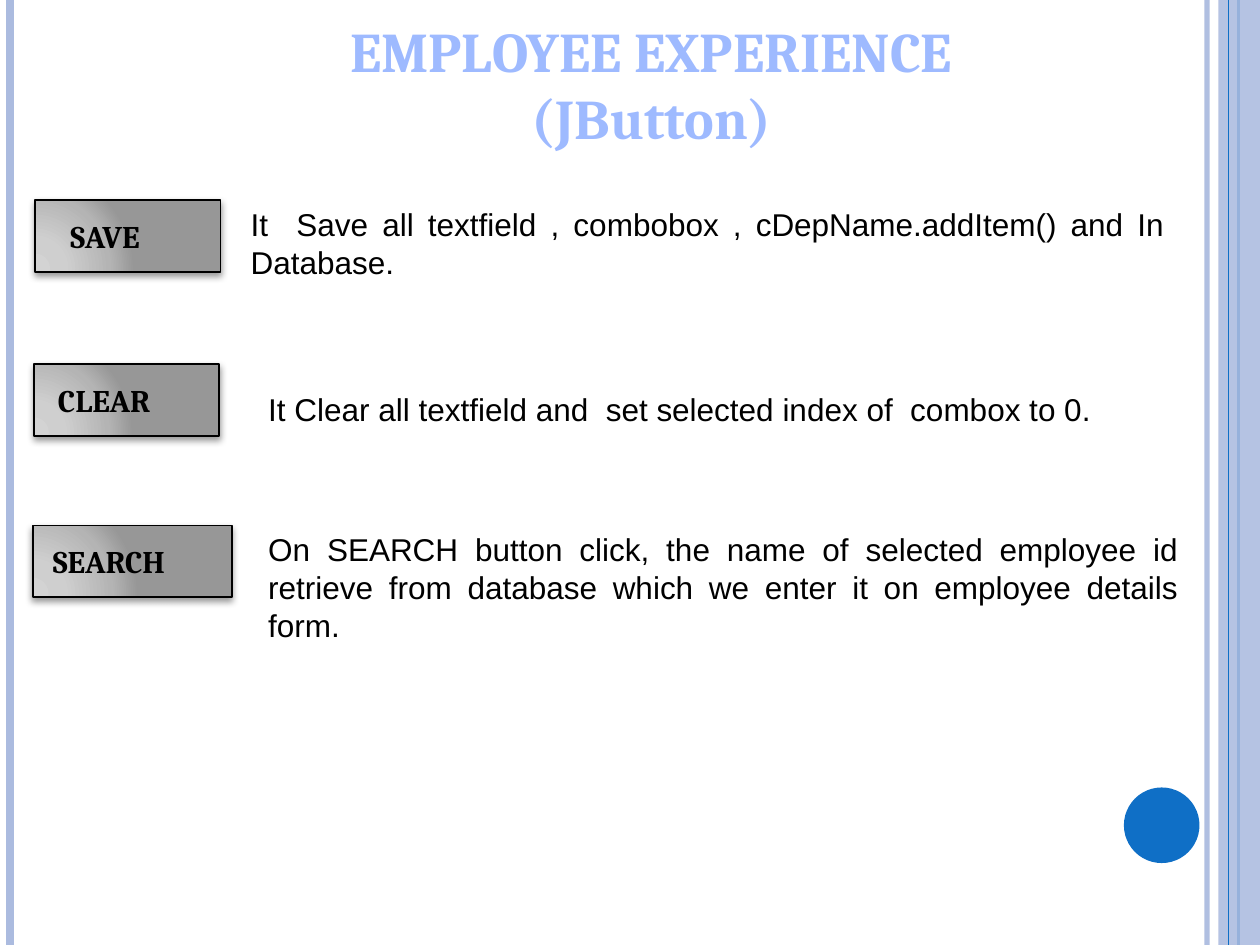
from lxml.etree import SubElement
from pptx import Presentation
from pptx.dml.color import RGBColor
from pptx.enum.shapes import MSO_CONNECTOR, MSO_SHAPE
from pptx.enum.text import MSO_ANCHOR, MSO_AUTO_SIZE, PP_ALIGN
from pptx.oxml import parse_xml
from pptx.oxml.ns import nsdecls, qn
from pptx.util import Inches, Pt

WIDTH, HEIGHT = 10, 7.5
LAVENDER = RGBColor(0xAB, 0xBB, 0xDF)
BLUE = RGBColor(0x0F, 0x6F, 0xC6)
TITLE_BLUE = RGBColor(0x9E, 0xBA, 0xFF)
BLACK = RGBColor(0, 0, 0)

TITLE_LINES = ["EMPLOYEE EXPERIENCE", "(JButton)"]
BUTTON_HEIGHT = 0.57
BUTTONS = [
    ("SAVE", (0.28, 1.59, 1.47), 0.28,
     "It  Save all textfield , combobox , cDepName.addItem() and In Database.",
     (1.89, 1.58, 7.45, 0.71)),
    ("CLEAR", (0.27, 2.89, 1.47), 0.19,
     "It Clear all textfield and  set selected index of  combox to 0.",
     (2.03, 3.05, 7.28, 0.4)),
    ("SEARCH", (0.26, 4.17, 1.58), 0.16,
     "On SEARCH button click, the name of selected employee id retrieve from "
     "database which we enter it on employee details form.",
     (2.03, 4.16, 7.42, 1.01)),
]
LEFT_RAILS = [(9.58, LAVENDER, 3, 93), (0.08, LAVENDER, 4.5, 100), (9.83, BLUE, 1.5, 100)]
BAND_RAIL = (9.75, BLUE, 0.75, 100)
BAND_LEFT, BAND_OPACITY = 9.67, 87
BUTTON_STOPS = [(0, "D3D3D3"), (30, "CFCFCF"), (75, "B4B4B4"), (100, "979797")]


def set_opacity(element, percent):
    if percent < 100:
        color = next(element.iter(qn("a:srgbClr")))
        SubElement(color, qn("a:alpha"), val=str(percent * 1000))


def add_rail(slide, x, color, weight, opacity):
    rail = slide.shapes.add_connector(
        MSO_CONNECTOR.STRAIGHT, Inches(x), 0, Inches(x), Inches(HEIGHT))
    rail.line.color.rgb = color
    rail.line.width = Pt(weight)
    properties = rail._element.spPr
    set_opacity(properties, opacity)
    SubElement(properties, qn("a:effectLst"))


def add_filled(slide, preset, box, color):
    shape = slide.shapes.add_shape(preset, *map(Inches, box))
    shape.shadow.inherit = False
    shape.fill.solid()
    shape.fill.fore_color.rgb = color
    shape.line.fill.background()
    return shape


def style_text(paragraph, font_name, size, color, bold, alignment):
    paragraph.alignment = alignment
    font = paragraph.font
    font.name, font.size, font.bold = font_name, Pt(size), bold
    font.color.rgb = color


def add_button(slide, label, place, indent):
    button = add_filled(slide, MSO_SHAPE.RECTANGLE, (*place, BUTTON_HEIGHT), LAVENDER)
    button.line.color.rgb = BLACK
    button.line.width = Pt(1)
    properties = button._element.spPr
    stops = "".join(f'<a:gs pos="{position * 1000}"><a:srgbClr val="{shade}"/></a:gs>'
                    for position, shade in BUTTON_STOPS)
    gradient = parse_xml(
        f'<a:gradFill {nsdecls("a")} rotWithShape="1"><a:gsLst>{stops}</a:gsLst>'
        '<a:path path="circle"><a:fillToRect l="5000" t="100000" r="120000" b="10000"/>'
        '</a:path></a:gradFill>')
    properties.replace(properties.find(qn("a:solidFill")), gradient)
    shadow = SubElement(
        properties.find(qn("a:effectLst")), qn("a:outerShdw"), blurRad=str(Pt(4)),
        dist=str(Pt(2)), dir="5400000", rotWithShape="0")
    SubElement(shadow, qn("a:srgbClr"), val="000000")
    set_opacity(shadow, 40)
    frame = button.text_frame
    frame.margin_left, frame.margin_right = Inches(indent), 0
    frame.vertical_anchor = MSO_ANCHOR.MIDDLE
    frame.text = label
    style_text(frame.paragraphs[0], "Cambria", 18, BLACK, True, PP_ALIGN.LEFT)


def add_description(slide, text, box):
    frame = slide.shapes.add_textbox(*map(Inches, box)).text_frame
    frame.word_wrap = True
    frame.text = text
    style_text(frame.paragraphs[0], "Arial", 18, BLACK, False, PP_ALIGN.JUSTIFY)


def add_title(slide):
    title = slide.shapes.title
    title.left, title.top, title.width, title.height = map(Inches, (1.67, 0.08, 7, 1.18))
    frame = title.text_frame
    frame.auto_size = MSO_AUTO_SIZE.NONE
    frame.vertical_anchor = MSO_ANCHOR.TOP
    frame.text = "\n".join(TITLE_LINES)
    for paragraph in frame.paragraphs:
        paragraph.space_before = Pt(0)
        style_text(paragraph, "Cambria", 32, TITLE_BLUE, True, PP_ALIGN.CENTER)


def main():
    deck = Presentation()
    deck.slide_width, deck.slide_height = Inches(WIDTH), Inches(HEIGHT)
    slide = deck.slides.add_slide(deck.slide_layouts[5])
    for rail in LEFT_RAILS:
        add_rail(slide, *rail)
    band = add_filled(slide, MSO_SHAPE.RECTANGLE,
                      (BAND_LEFT, 0, WIDTH - BAND_LEFT, HEIGHT), LAVENDER)
    set_opacity(band._element.spPr, BAND_OPACITY)
    add_rail(slide, *BAND_RAIL)
    add_filled(slide, MSO_SHAPE.OVAL, (8.92, 6.25, 0.6, 0.6), BLUE)
    add_title(slide)
    for label, place, indent, description, box in BUTTONS:
        add_button(slide, label, place, indent)
        add_description(slide, description, box)
    deck.save("out.pptx")


if __name__ == "__main__":
    main()
